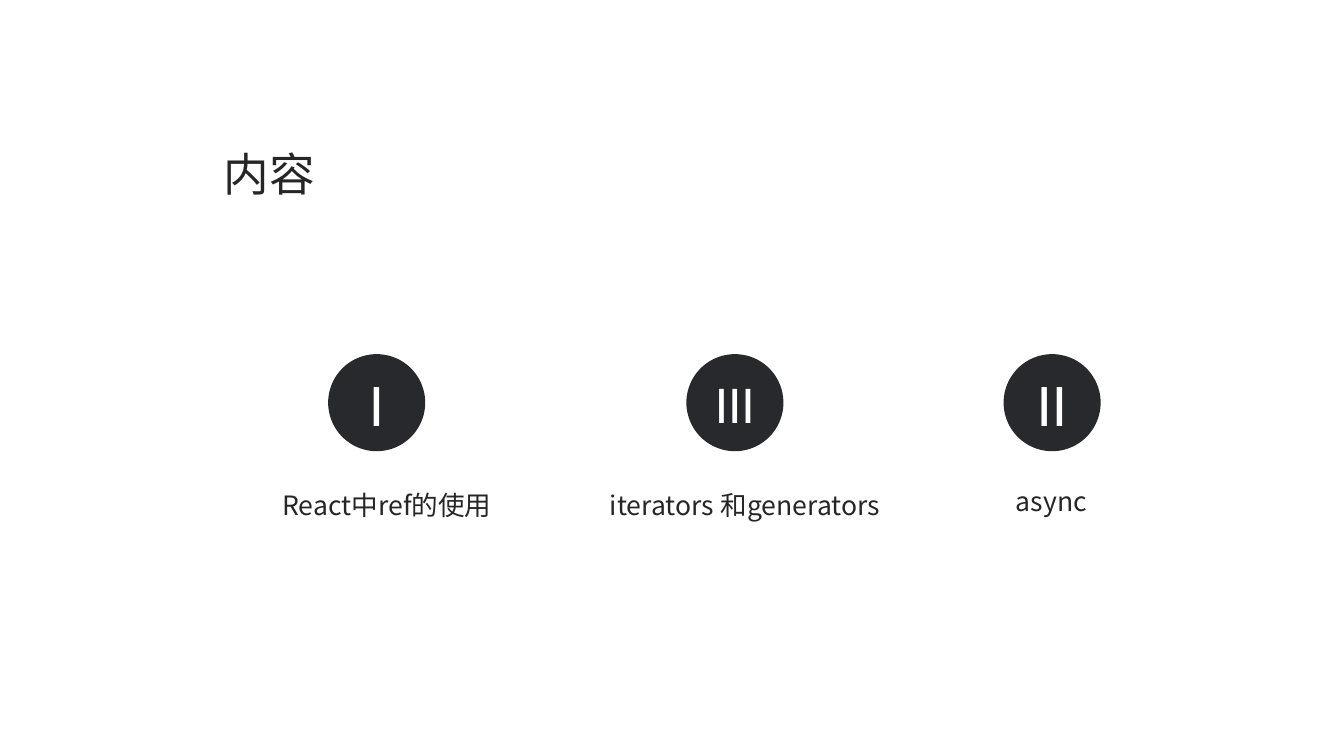
from pptx import Presentation
from pptx.dml.color import RGBColor
from pptx.enum.shapes import MSO_SHAPE as Shape
from pptx.enum.text import MSO_ANCHOR as Anchor, PP_ALIGN as Align
from pptx.oxml.ns import qn
from pptx.util import Inches, Pt
from lxml.etree import SubElement

# Content: numeral, its size, circle left, caption, caption left, caption top
TITLE = "内容"
TOPICS = [
    ("I", 32, 2.4, "React中ref的使用", 1.69, 3.53),
    ("III", 28, 5.02, "iterators 和generators", 4.31, 3.53),
    ("II", 32, 7.34, "async", 6.55, 3.5),
]

# Style
SANS, CJK = "Calibri", "Noto Sans CJK SC"
INK, DISC, WHITE = "262626", "28292C", "FFFFFF"
DIAM, DISC_TOP, WIDE, PAD = 0.71, 2.59, 2.28, 0.05


def color(code):
    return RGBColor.from_string(code)


def write(shape, text, size, face, ink, pad, anchor, wrap):
    frame = shape.text_frame
    frame.text = text
    frame.word_wrap = wrap
    frame.vertical_anchor = anchor
    frame.margin_left = frame.margin_right = Inches(pad)
    frame.margin_top = frame.margin_bottom = Inches(pad)
    par = frame.paragraphs[0]
    par.alignment = Align.CENTER
    font = par.runs[0].font
    font.size, font.name = Pt(size), face
    font.color.rgb = color(ink)
    # East Asian typeface
    SubElement(par.runs[0].font._element, qn("a:ea"), typeface=face)


def label(slide, text, left, top, high, size):
    box = slide.shapes.add_textbox(
        Inches(left), Inches(top), Inches(WIDE), Inches(high))
    write(box, text, size, CJK, INK, PAD, Anchor.TOP, True)


def disc(slide, text, left, size):
    dot = slide.shapes.add_shape(
        Shape.OVAL, Inches(left), Inches(DISC_TOP), Inches(DIAM), Inches(DIAM))
    dot.shadow.inherit = False
    dot.fill.solid()
    dot.fill.fore_color.rgb = color(DISC)
    dot.line.fill.background()
    write(dot, text, size, SANS, WHITE, 0, Anchor.MIDDLE, False)


def main():
    deck = Presentation()
    deck.slide_width, deck.slide_height = Inches(9.83), Inches(5.5)
    slide = deck.slides.add_slide(deck.slide_layouts[6])

    # Title
    label(slide, TITLE, 0.83, 1.02, 0.56, 24)

    # Numbered topics
    for num, size, left, text, text_left, text_top in TOPICS:
        disc(slide, num, left, size)
        label(slide, text, text_left, text_top, 0.34, 14)

    deck.save("out.pptx")


if __name__ == "__main__":
    main()
